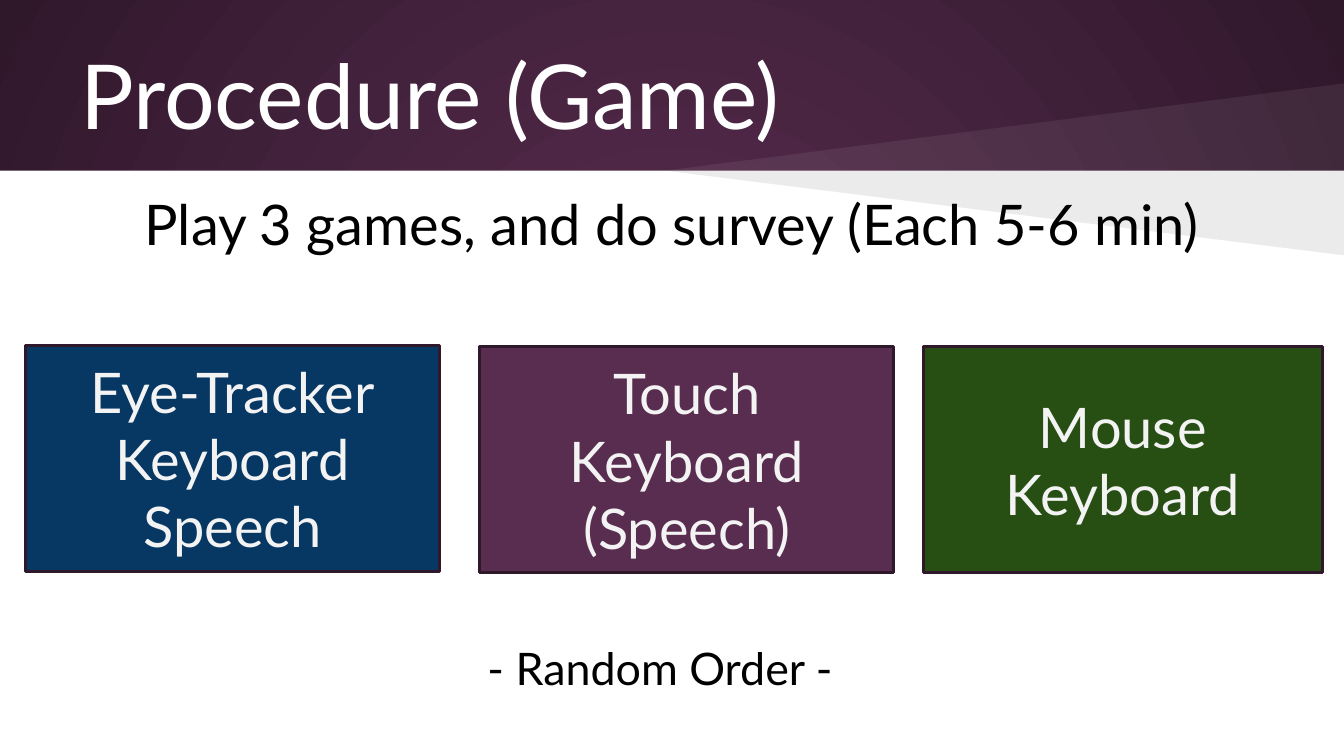
from lxml.etree import SubElement
from pptx import Presentation
from pptx.dml.color import RGBColor
from pptx.enum.shapes import MSO_SHAPE
from pptx.enum.text import MSO_ANCHOR, PP_ALIGN
from pptx.oxml.ns import qn
from pptx.util import Inches, Pt

PLUM, DARK_PLUM = "592D50", "30182B"
WHITE, BLACK, PALE = "FFFFFF", "000000", "F3F3F3"
WIDTH, HEADER_HEIGHT = 10, 1.27
HEIGHT = WIDTH * 9 / 16


def color(hex_string):
    return RGBColor.from_string(hex_string)


def set_fill(shape, hex_string, alpha=None):
    shape.shadow.inherit = False
    shape.fill.solid()
    shape.fill.fore_color.rgb = color(hex_string)
    if alpha is not None:
        color_element = shape.element.spPr.find(qn("a:solidFill"))[0]
        SubElement(color_element, qn("a:alpha")).set("val", str(alpha * 1000))


def add_rectangle(slide, box, hex_string):
    shape = slide.shapes.add_shape(MSO_SHAPE.RECTANGLE, *map(Inches, box))
    set_fill(shape, hex_string)
    shape.line.fill.background()
    return shape


def write_text(shape, lines, size, hex_string, alignment=PP_ALIGN.CENTER,
               anchor=MSO_ANCHOR.MIDDLE):
    frame = shape.text_frame
    frame_format = {"word_wrap": True, "vertical_anchor": anchor}
    for side in ("left", "top", "right", "bottom"):
        frame_format["margin_" + side] = Inches(0.1)
    for name, value in frame_format.items():
        setattr(frame, name, value)
    frame.text = "\n".join(lines)
    for paragraph in frame.paragraphs:
        paragraph.alignment = alignment
        for run in paragraph.runs:
            for name, value in {"name": "Lato", "size": Pt(size)}.items():
                setattr(run.font, name, value)
            run.font.color.rgb = color(hex_string)


def add_text(slide, box, text, size, hex_string, **layout):
    text_box = slide.shapes.add_textbox(*map(Inches, box))
    write_text(text_box, [text], size, hex_string, **layout)


def add_wedge(slide, corners, hex_string, alpha):
    start, *others = [tuple(map(Inches, corner)) for corner in corners]
    builder = slide.shapes.build_freeform(*start)
    builder.add_line_segments(others, close=True)
    wedge = builder.convert_to_shape()
    set_fill(wedge, hex_string, alpha)
    wedge.line.fill.background()


def paint_background(slide):
    # Radial gradient from the middle of the slide
    fill = slide.background.fill
    fill.gradient()
    for stop, position, hex_string in zip(fill.gradient_stops, (0, 1), (PLUM, DARK_PLUM)):
        stop.position = position
        stop.color.rgb = color(hex_string)
    gradient = slide.element.find(".//" + qn("a:gradFill"))
    gradient.remove(gradient.find(qn("a:lin")))
    radial = SubElement(gradient, qn("a:path"), {"path": "circle"})
    SubElement(radial, qn("a:fillToRect"), dict.fromkeys("ltrb", "50000"))

    # White content area
    add_rectangle(slide, (0, HEADER_HEIGHT, WIDTH, HEIGHT - HEADER_HEIGHT), WHITE)

    # Light beam above the header edge, shade below it
    tip, corner = (4.95, HEADER_HEIGHT), (WIDTH, HEADER_HEIGHT)
    for outer_top, hex_string, alpha in ((0.62, WHITE, 7), (1.9, BLACK, 8)):
        add_wedge(slide, (corner, tip, (WIDTH, outer_top)), hex_string, alpha)


def add_condition(slide, box, lines, hex_string):
    card = add_rectangle(slide, box, hex_string)
    card.line.color.rgb = color(DARK_PLUM)
    card.line.width = Pt(1.5)
    write_text(card, lines, 30, PALE)


def build_procedure_slide(presentation):
    slide = presentation.slides.add_slide(presentation.slide_layouts[6])
    paint_background(slide)

    # Title and instruction
    add_text(slide, (0.5, 0.23, 9, 0.94), "Procedure (Game)", 48, WHITE,
             alignment=PP_ALIGN.LEFT)
    add_text(slide, (0.5, 1.31, 9, 4.07), "Play 3 games, and do survey (Each 5-6 min)",
             30, BLACK, anchor=MSO_ANCHOR.TOP)

    # Game conditions
    conditions = (
        (0.19, 2.57, 3.08, ["Eye-Tracker", "Keyboard", "Speech"], "073763"),
        (3.57, 2.58, 3.08, ["Touch", "Keyboard", "(Speech)"], PLUM),
        (6.87, 2.58, 2.97, ["Mouse Keyboard"], "274E13"),
    )
    for left, top, width, lines, hex_string in conditions:
        add_condition(slide, (left, top, width, 1.68), lines, hex_string)

    # Order note
    add_text(slide, (0.25, 4.5, 9.32, 0.94), "- Random Order -", 24, BLACK)


presentation = Presentation()
presentation.slide_width = Inches(WIDTH)
presentation.slide_height = Inches(HEIGHT)
build_procedure_slide(presentation)
presentation.save("out.pptx")
